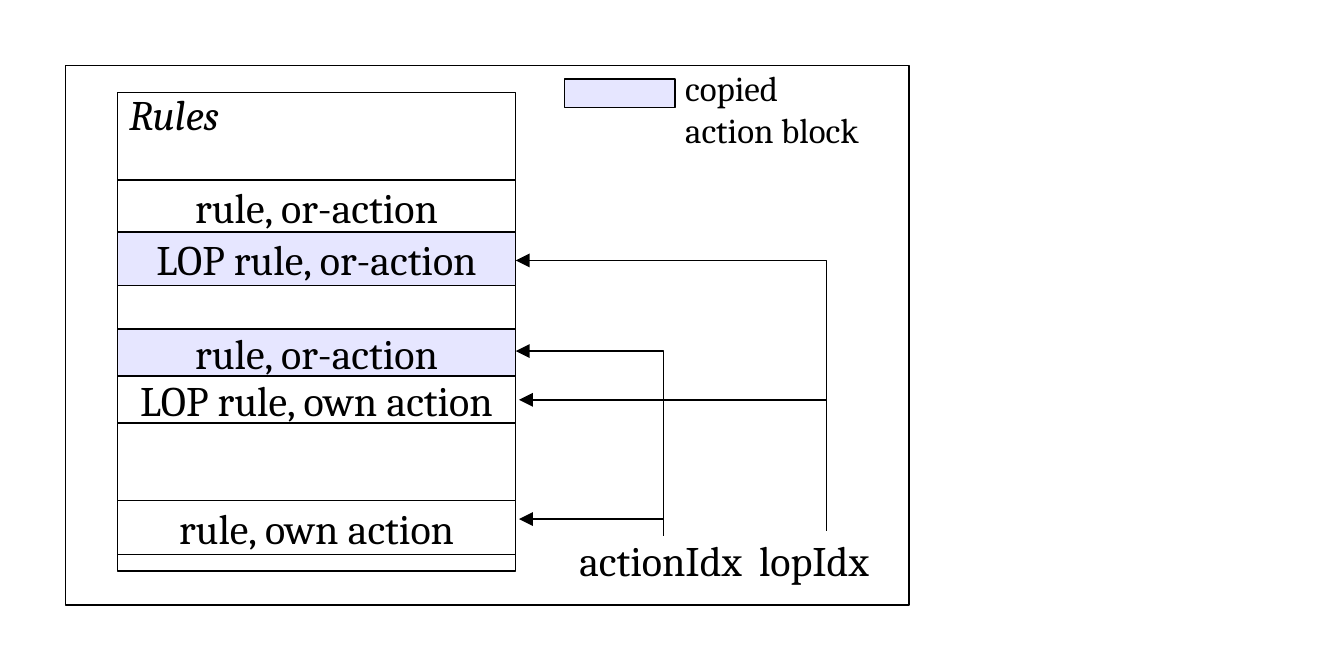
import collections

import lxml.etree
import pptx
import pptx.dml.color
import pptx.enum.shapes
import pptx.enum.text
import pptx.oxml.ns
import pptx.util

COLUMNS, ROWS = 80, 40
CELL = pptx.util.Inches(8) // COLUMNS
BLACK, WHITE, LAVENDER = "000000", "FFFFFF", "E6E6FF"
Box = collections.namedtuple("Box", "left top width height")
Rule = collections.namedtuple("Rule", "top height text fill")
Index = collections.namedtuple("Index", "name label_left trunk bottom target branch")

RULES = [
    Rule(5.2, 3.2, "rule, or-action", WHITE),
    Rule(8.3, 3.2, "LOP rule, or-action", LAVENDER),
    Rule(14.1, 2.8, "rule, or-action", LAVENDER),
    Rule(16.9, 2.8, "LOP rule, own action", WHITE),
    Rule(24.3, 3.2, "rule, own action", WHITE),
]
INDEXES = [
    Index("actionIdx", 2.8, 8.8, 26.4, 15.4, 25.4),
    Index("lopIdx", 13.5, 18.5, 26.1, 10, 18.3),
]


def grid(value):
    """Convert grid cells to slide units."""
    return round(value * CELL)


def color(value):
    """Convert a hex string to a colour."""
    return pptx.dml.color.RGBColor.from_string(value)


def apply(target, values):
    """Set attributes of an object from a dict."""
    for name, value in values.items():
        setattr(target, name, value)


def inside(box, left, top, width, height):
    """Return a box placed relative to another box."""
    return Box(box.left + left, box.top + top, width, height)


def style_line(shape, arrow=False):
    """Give a line its colour, width and optional arrowhead."""
    shape.line.color.rgb = color(BLACK)
    shape.line.width = pptx.util.Pt(0.71)
    if arrow:
        line = shape.line._get_or_add_ln()
        lxml.etree.SubElement(line, pptx.oxml.ns.qn("a:tailEnd"), type="triangle")


def write(shape, lines, size=18, italic=False, centred=False):
    """Write one paragraph for each line of text."""
    alignment = pptx.enum.text.PP_ALIGN
    anchor = pptx.enum.text.MSO_ANCHOR
    frame = shape.text_frame
    frame.text = "\n".join(lines)
    apply(frame, {
        "word_wrap": False,
        "vertical_anchor": anchor.MIDDLE if centred else anchor.TOP,
    })
    for paragraph in frame.paragraphs:
        paragraph.alignment = alignment.CENTER if centred else alignment.LEFT
        apply(paragraph.runs[0].font, {
            "name": "Cambria", "size": pptx.util.Pt(size), "italic": italic,
        })
        paragraph.runs[0].font.color.rgb = color(BLACK)


def add_label(slide, box, lines, **style):
    """Add a text box."""
    write(slide.shapes.add_textbox(*map(grid, box)), lines, **style)


def add_block(slide, box, fill=WHITE):
    """Add an outlined rectangle."""
    kind = pptx.enum.shapes.MSO_SHAPE.RECTANGLE
    shape = slide.shapes.add_shape(kind, *map(grid, box))
    shape.shadow.inherit = False
    shape.fill.solid()
    shape.fill.fore_color.rgb = color(fill)
    style_line(shape)
    return shape


def add_arrow(slide, start, end):
    """Add a straight arrow between two grid points."""
    kind = pptx.enum.shapes.MSO_CONNECTOR.STRAIGHT
    connector = slide.shapes.add_connector(kind, *map(grid, start + end))
    properties = connector._element.spPr
    style_line(connector, arrow=True)
    lxml.etree.SubElement(properties, pptx.oxml.ns.qn("a:effectLst"))


def add_bent_arrow(slide, points):
    """Add an open arrow through several grid points."""
    start, *others = [tuple(map(grid, point)) for point in points]
    builder = slide.shapes.build_freeform(*start)
    builder.add_line_segments(others, close=False)
    shape = builder.convert_to_shape()
    shape.shadow.inherit = False
    shape.fill.background()
    style_line(shape, arrow=True)


def add_rules(slide, box):
    """Draw the rules memory with its entries."""
    add_block(slide, box)
    add_label(slide, inside(box, -0.3, -0.7, 8.3, 4.4), ["Rules"], italic=True)
    for rule in RULES:
        entry = inside(box, 0, rule.top, box.width, rule.height)
        write(add_block(slide, entry, rule.fill), [rule.text], centred=True)


def add_indexes(slide, box):
    """Draw the indexes and their arrows to the left edge of the box."""
    for index in INDEXES:
        trunk = box.left + index.trunk
        target, branch = box.top + index.target, box.top + index.branch
        add_bent_arrow(slide, [
            (trunk, box.top + index.bottom), (trunk, target), (box.left, target),
        ])
        add_arrow(slide, (trunk, branch), (box.left + 0.2, branch))
        label = inside(box, index.label_left, box.height - 2.7, 11.7, 4.4)
        add_label(slide, label, [index.name])


def add_legend(slide, box):
    """Explain the colour of copied action blocks."""
    add_block(slide, inside(box, 0, 1.2, 6.6, 1.7), LAVENDER)
    text_box = inside(box, 6.2, 0, box.width - 6.2, box.height)
    add_label(slide, text_box, ["copied", "action block"], size=15)


def add_diagram(slide, box):
    """Draw the framed diagram with all its regions."""
    add_block(slide, box)
    rules = inside(box, 3.1, 1.6, 23.7, 28.5)
    add_rules(slide, rules)
    add_indexes(slide, inside(rules, rules.width, 0, 20, rules.height))
    add_legend(slide, inside(box, 29.7, -0.4, 20.2, 6.7))


def main():
    """Build and save the presentation."""
    presentation = pptx.Presentation()
    apply(presentation, {"slide_width": grid(COLUMNS), "slide_height": grid(ROWS)})
    slide = presentation.slides.add_slide(presentation.slide_layouts[6])
    add_diagram(slide, Box(3.9, 3.9, 50.2, 32.1))
    presentation.save("out.pptx")


main()
